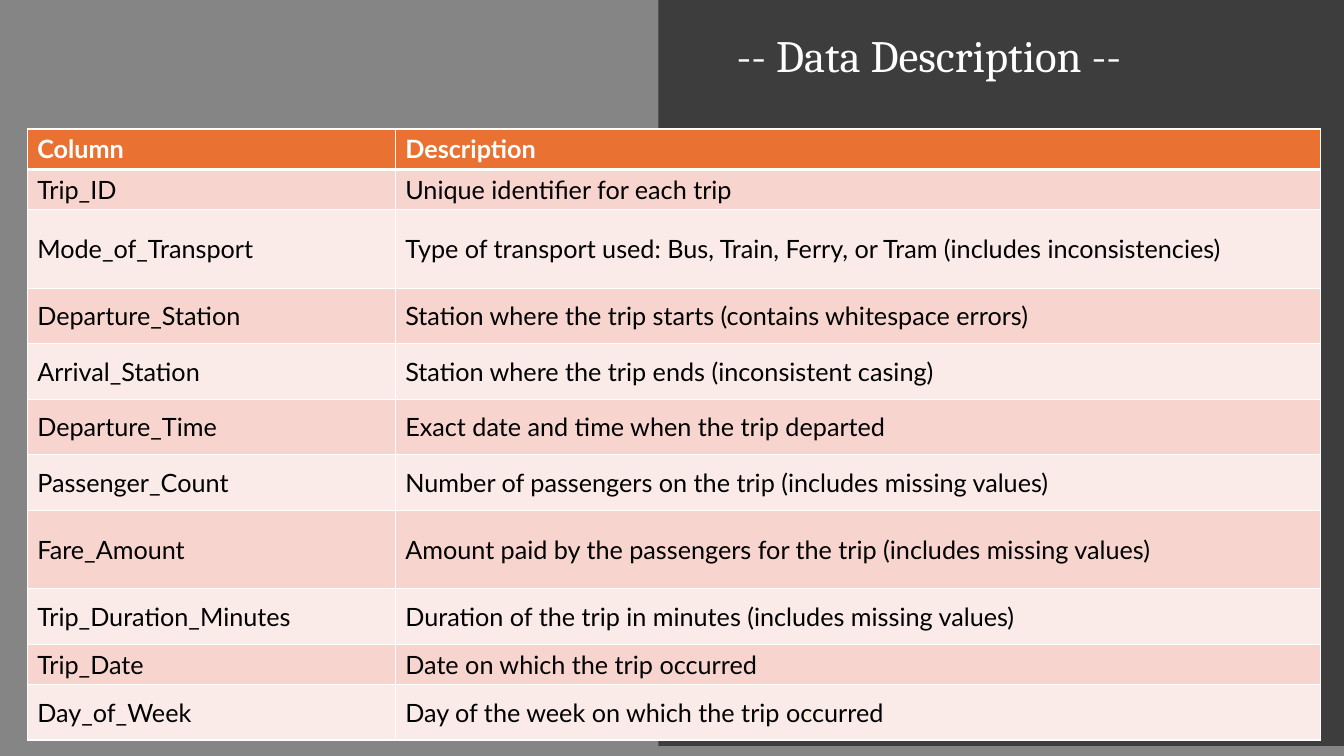
import pptx
import pptx.dml.color
import pptx.enum.shapes
import pptx.enum.text
import pptx.oxml
import pptx.oxml.ns
import pptx.util

COLOURS = {
    "backdrop": "000000",
    "panel": "0D0D0D",
    "light": "FFFFFF",
    "ink": "000000",
    "header": "E97132",
    "odd_row": "F7D5CE",
    "even_row": "FBEBE8",
}
WIDTH, HEIGHT = 1333, 750
COLUMN_WIDTHS = (365, 918)

# Row height, column name, description
DATA_COLUMNS = [
    (40, "Column", "Description"),
    (40, "Trip_ID", "Unique identifier for each trip"),
    (78, "Mode_of_Transport",
     "Type of transport used: Bus, Train, Ferry, or Tram (includes inconsistencies)"),
    (55, "Departure_Station", "Station where the trip starts (contains whitespace errors)"),
    (55, "Arrival_Station", "Station where the trip ends (inconsistent casing)"),
    (55, "Departure_Time", "Exact date and time when the trip departed"),
    (55, "Passenger_Count", "Number of passengers on the trip (includes missing values)"),
    (78, "Fare_Amount", "Amount paid by the passengers for the trip (includes missing values)"),
    (55, "Trip_Duration_Minutes", "Duration of the trip in minutes (includes missing values)"),
    (40, "Trip_Date", "Date on which the trip occurred"),
    (55, "Day_of_Week", "Day of the week on which the trip occurred"),
]


def px(length):
    """Turn px, 100 to the inch, into EMU."""
    return pptx.util.Emu(length * 9144)


def rgb(name):
    return pptx.dml.color.RGBColor.from_string(COLOURS[name])


class SlideBuilder:
    title_font = "Cambria"
    table_font = "Lato"

    def __init__(self, slide):
        self.slide = slide

    def add_run(self, paragraph, text, font, size, colour, bold=False):
        run = paragraph.add_run()
        run.text = text
        run.font.name = font
        run.font.size = pptx.util.Pt(size)
        run.font.bold = bold
        run.font.color.rgb = rgb(colour)

    def panel(self, left, top, width, height, colour, opacity):
        """Add a borderless rectangle with an opacity in percent."""
        panel = self.slide.shapes.add_shape(
            pptx.enum.shapes.MSO_SHAPE.RECTANGLE, px(left), px(top), px(width), px(height))
        panel.shadow.inherit = False
        panel.line.fill.background()
        panel.fill.solid()
        panel.fill.fore_color.rgb = rgb(colour)
        fill_colour = panel.element.spPr.find(".//" + pptx.oxml.ns.qn("a:srgbClr"))
        fill_colour.append(pptx.oxml.parse_xml(
            f'<a:alpha {pptx.oxml.ns.nsdecls("a")} val="{opacity * 1000}"/>'))

    def title(self, left, top, width, height, text):
        """Fill the title placeholder and bring it in front of the panels."""
        title = self.slide.shapes.title
        title.left, title.top, title.width, title.height = map(px, (left, top, width, height))
        title.element.getparent().append(title.element)
        frame = title.text_frame
        frame.word_wrap = True
        frame.auto_size = pptx.enum.text.MSO_AUTO_SIZE.SHAPE_TO_FIT_TEXT
        frame.vertical_anchor = pptx.enum.text.MSO_ANCHOR.TOP
        heading = frame.paragraphs[0]
        heading.alignment = pptx.enum.text.PP_ALIGN.CENTER
        self.add_run(heading, text, self.title_font, 32, "light")

    def border(self, cell, top, bottom):
        """Draw the cell's borders, 1 pt at the sides."""
        for side, points in (("L", 1), ("R", 1), ("T", top), ("B", bottom)):
            cell._tc.get_or_add_tcPr().append(pptx.oxml.parse_xml(
                f'<a:ln{side} {pptx.oxml.ns.nsdecls("a")} w="{pptx.util.Pt(points)}">'
                f'<a:solidFill><a:srgbClr val="{COLOURS["light"]}"/></a:solidFill>'
                f'</a:ln{side}>'))

    def table(self, left, top, widths, rows):
        """Add a table with a header row and alternating row fills."""
        heights = [row[0] for row in rows]
        table = self.slide.shapes.add_table(
            len(rows), len(widths), px(left), px(top), px(sum(widths)), px(sum(heights))).table
        for column, width in zip(table.columns, widths):
            column.width = px(width)
        for index, (height, *texts) in enumerate(rows):
            table.rows[index].height = px(height)
            is_header = index == 0
            fill = "header" if is_header else "odd_row" if index % 2 else "even_row"
            for position, text in enumerate(texts):
                cell = table.cell(index, position)
                self.border(cell, 3 if index == 1 else 1, 3 if is_header else 1)
                cell.fill.solid()
                cell.fill.fore_color.rgb = rgb(fill)
                if not is_header:
                    cell.vertical_anchor = pptx.enum.text.MSO_ANCHOR.MIDDLE
                self.add_run(cell.text_frame.paragraphs[0], text, self.table_font, 18,
                             "light" if is_header else "ink", is_header)


def main():
    deck = pptx.Presentation()
    deck.slide_width, deck.slide_height = px(WIDTH), px(HEIGHT)
    builder = SlideBuilder(deck.slides.add_slide(deck.slide_layouts.get_by_name("Title Only")))
    builder.panel(0, 0, WIDTH, HEIGHT, "backdrop", 48)
    builder.panel(653, 0, 680, 740, "panel", 60)
    builder.title(595, 22, 653, 64, "-- Data Description --")
    builder.table(27, 128, COLUMN_WIDTHS, DATA_COLUMNS)
    deck.save("out.pptx")


if __name__ == "__main__":
    main()
